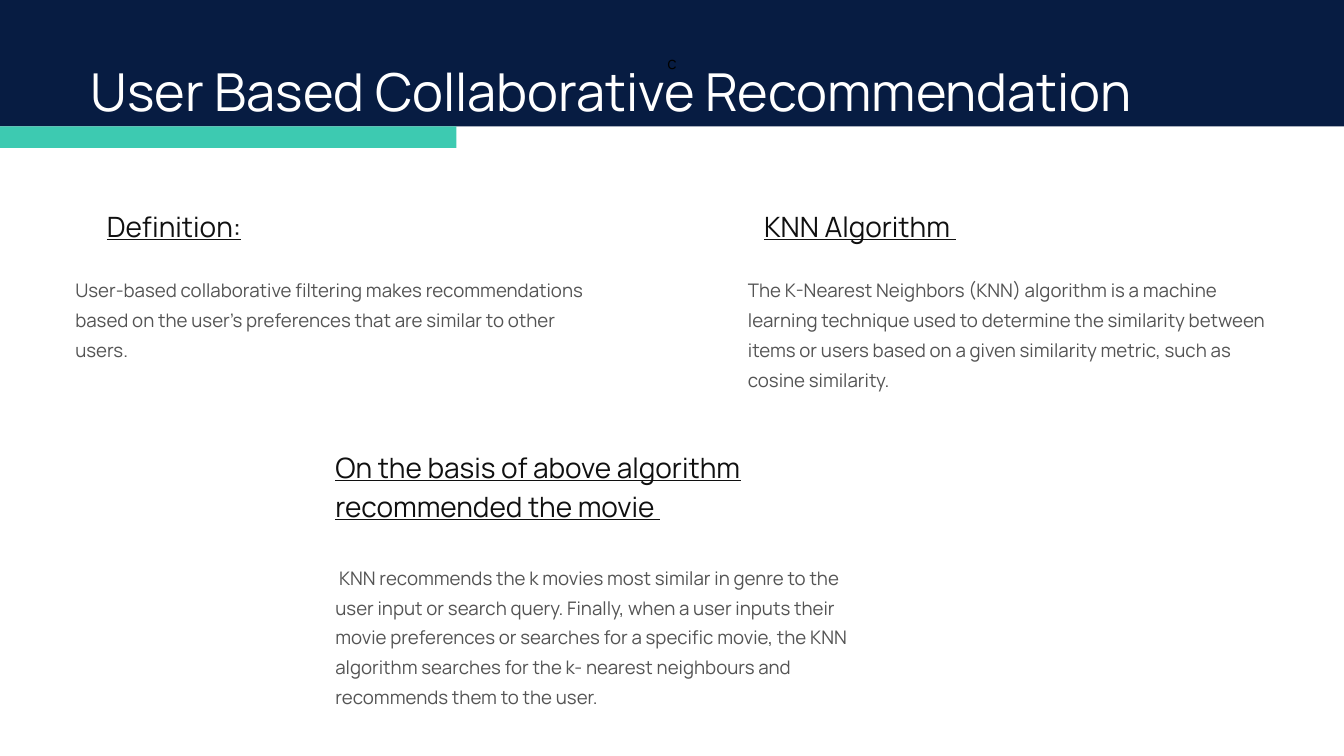
from dataclasses import dataclass

import pptx
import pptx.dml.color
import pptx.enum.shapes
import pptx.enum.text
import pptx.util

EMU_PER_PX = 9144  # 100 px to the inch
FONT = "Manrope"
NAVY, TEAL, WHITE = "071C42", "3DCAB1", "FFFFFF"
INK, GREY, BLACK = "101010", "545454", "000000"


@dataclass(frozen=True)
class TextStyle:
    size: int
    leading: float
    color: str
    underline: bool = False


@dataclass(frozen=True)
class TextBlock:
    left: int
    top: int
    width: int
    height: int
    style: TextStyle
    text: str


TITLE = TextStyle(56, 67.2, WHITE)
HEADING = TextStyle(30, 42, INK, underline=True)
BODY = TextStyle(20, 32, GREY)

BLOCKS = [
    TextBlock(135, 88, 1805, 99, TITLE, "User Based Collaborative Recommendation"),
    TextBlock(159, 304, 727, 57, HEADING, "Definition:"),
    TextBlock(112, 404, 775, 131, BODY,
              "User-based collaborative filtering makes recommendations based on "
              "the user’s preferences that are similar to other users."),
    TextBlock(1137, 304, 727, 57, HEADING, "KNN Algorithm "),
    TextBlock(1113, 404, 775, 174, BODY,
              "The K-Nearest Neighbors (KNN) algorithm is a machine learning "
              "technique used to determine the similarity between items or users "
              "based on a given similarity metric, such as cosine similarity."),
    TextBlock(499, 662, 727, 115, HEADING,
              "On the basis of above algorithm recommended the movie "),
    TextBlock(499, 832, 775, 218, BODY,
              " KNN recommends the k movies most similar in genre to the user input "
              "or search query. Finally, when a user inputs their movie preferences "
              "or searches for a specific movie, the KNN algorithm searches for the "
              "k- nearest neighbours and recommends them to the user."),
]


def px(length: int) -> pptx.util.Emu:
    return pptx.util.Emu(length * EMU_PER_PX)


def rgb(color: str) -> pptx.dml.color.RGBColor:
    return pptx.dml.color.RGBColor.from_string(color)


def add_span(para, text: str, size: int, color: str, underline: bool = False) -> None:
    span = para.add_run()
    span.text = text
    span.font.name = FONT
    span.font.size = pptx.util.Pt(size)
    span.font.color.rgb = rgb(color)
    if underline:
        span.font.underline = True


def add_bar(page, top: int, width: int, height: int, color: str):
    """Draw a plain bar that starts at the left edge of the page."""
    bar = page.shapes.add_shape(pptx.enum.shapes.MSO_SHAPE.RECTANGLE,
                                px(0), px(top), px(width), px(height))
    bar.shadow.inherit = False
    bar.fill.solid()
    bar.fill.fore_color.rgb = rgb(color)
    bar.line.fill.background()
    return bar


def add_text(page, block: TextBlock) -> None:
    box = page.shapes.add_textbox(px(block.left), px(block.top),
                                  px(block.width), px(block.height))
    frame = box.text_frame
    frame.word_wrap = True
    frame.margin_left = frame.margin_right = 0
    frame.margin_top = frame.margin_bottom = 0
    para = frame.paragraphs[0]
    para.line_spacing = pptx.util.Pt(block.style.leading)
    add_span(para, block.text, block.style.size, block.style.color,
             block.style.underline)


def main() -> None:
    deck = pptx.Presentation()
    deck.slide_width, deck.slide_height = px(2000), px(1125)
    page = deck.slides.add_slide(deck.slide_layouts[6])

    banner = add_bar(page, 0, 2000, 188, NAVY)
    banner.text_frame.vertical_anchor = pptx.enum.text.MSO_ANCHOR.MIDDLE
    letter = banner.text_frame.paragraphs[0]
    letter.alignment = pptx.enum.text.PP_ALIGN.CENTER
    add_span(letter, "c", 18, BLACK)
    add_bar(page, 188, 679, 32, TEAL)

    for block in BLOCKS:
        add_text(page, block)
    deck.save("out.pptx")


if __name__ == "__main__":
    main()
